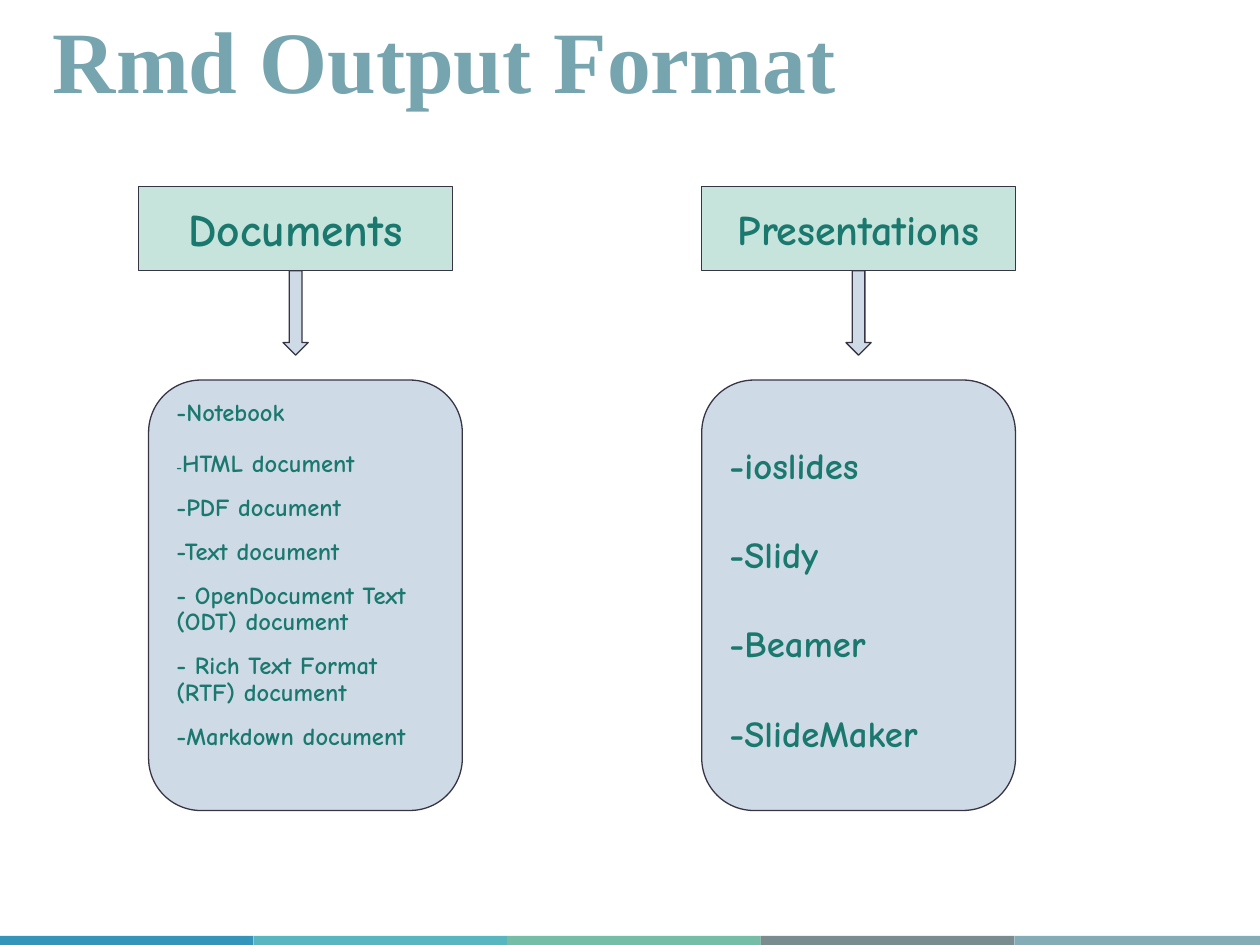
from dataclasses import dataclass

from pptx import Presentation
from pptx.dml.color import RGBColor
from pptx.enum.shapes import MSO_SHAPE
from pptx.enum.text import MSO_ANCHOR, MSO_AUTO_SIZE, PP_ALIGN
from pptx.shapes.autoshape import Shape
from pptx.slide import Slide
from pptx.text.text import _Paragraph
from pptx.util import Pt

TITLE = RGBColor(0x76, 0xA5, 0xAF)
TEXT = RGBColor(0x1B, 0x78, 0x6E)
MINT = RGBColor(0xC6, 0xE4, 0xDB)
PALE_BLUE = RGBColor(0xCE, 0xDB, 0xE6)
OUTLINE = RGBColor(0x37, 0x35, 0x45)
FOOTER = [
    RGBColor(0x34, 0x94, 0xBA),
    RGBColor(0x58, 0xB6, 0xC0),
    RGBColor(0x75, 0xBD, 0xA7),
    RGBColor(0x7A, 0x8C, 0x8E),
    RGBColor(0x84, 0xAC, 0xB6),
]
BODY_FONT = "Comic Neue"
TITLE_FONT = "Times New Roman"
BOX_W = 179.3
BAR_W = 144.9


@dataclass
class Item:
    text: str
    size: float = 14
    before: float = 10
    spacing: float = 0.9
    dash_size: float = 0


@dataclass
class Column:
    heading: str
    heading_size: float
    left: float
    list_left: float
    bottom_inset: float
    items: list[Item]


COLUMNS = [
    Column("Documents", 26, 79.3, 84.9, 34, [
        Item("-Notebook", before=22, spacing=1.15),
        Item("HTML document", before=14, dash_size=8),
        Item("-PDF document"),
        Item("-Text document"),
        Item("- OpenDocument Text (ODT) document"),
        Item("- Rich Text Format (RTF) document"),
        Item("-Markdown document"),
    ]),
    Column("Presentations", 24, 401, 401, 7.2, [
        Item(f"-{name}", 21, 22, 1.15)
        for name in ("ioslides", "Slidy", "Beamer", "SlideMaker")
    ]),
]


def add_box(s: Slide, kind: MSO_SHAPE, left: float, top: float, width: float,
            height: float, fill: RGBColor, outlined: bool = True) -> Shape:
    sp = s.shapes.add_shape(kind, Pt(left), Pt(top), Pt(width), Pt(height))
    sp.shadow.inherit = False
    sp.fill.solid()
    sp.fill.fore_color.rgb = fill
    if outlined:
        sp.line.color.rgb = OUTLINE
        sp.line.width = Pt(0.75)
    else:
        sp.line.fill.background()
    tf = sp.text_frame
    tf.word_wrap = True
    tf.vertical_anchor = MSO_ANCHOR.MIDDLE
    tf.margin_left = tf.margin_right = tf.margin_top = tf.margin_bottom = Pt(7.2)
    return sp


def format_runs(p: _Paragraph, size: float, color: RGBColor = TEXT,
                font: str = BODY_FONT) -> None:
    for r in p.runs:
        r.font.name = font
        r.font.size = Pt(size)
        r.font.bold = True
        r.font.color.rgb = color


def add_items(sp: Shape, items: list[Item]) -> None:
    tf = sp.text_frame
    for i, item in enumerate(items):
        p = tf.add_paragraph() if i else tf.paragraphs[0]
        p.text = "-" if item.dash_size else item.text
        if item.dash_size:
            p.add_run().text = item.text
        p.alignment = PP_ALIGN.LEFT
        p.line_spacing = item.spacing
        p.space_before = Pt(item.before)
        format_runs(p, item.size)
        if item.dash_size:
            p.runs[0].font.size = Pt(item.dash_size)


def add_column(s: Slide, col: Column) -> None:
    sp = add_box(s, MSO_SHAPE.RECTANGLE, col.left, 106.6, BOX_W, 48.2, MINT)
    sp.text_frame.text = col.heading
    p = sp.text_frame.paragraphs[0]
    p.alignment = PP_ALIGN.CENTER
    format_runs(p, col.heading_size)
    add_box(s, MSO_SHAPE.DOWN_ARROW, col.left + BOX_W / 2 - 7.2, 154.8,
            14.4, 48.2, PALE_BLUE)
    sp = add_box(s, MSO_SHAPE.ROUNDED_RECTANGLE, col.list_left, 217.2,
                 BOX_W, 246, PALE_BLUE)
    sp.text_frame.margin_bottom = Pt(col.bottom_inset)
    add_items(sp, col.items)


def add_title(s: Slide, text: str) -> None:
    sp = s.shapes.title
    sp.left, sp.top, sp.width, sp.height = Pt(23), Pt(9.4), Pt(689), Pt(58.3)
    tf = sp.text_frame
    tf.text = text
    tf.word_wrap = True
    tf.auto_size = MSO_AUTO_SIZE.NONE
    tf.vertical_anchor = MSO_ANCHOR.BOTTOM
    p = tf.paragraphs[0]
    p.alignment = PP_ALIGN.LEFT
    p.line_spacing = 0.9
    format_runs(p, 50, TITLE, TITLE_FONT)


prs = Presentation()
prs.slide_width, prs.slide_height = Pt(720), Pt(540)
s = prs.slides.add_slide(prs.slide_layouts[5])
for i, color in enumerate(FOOTER):
    add_box(s, MSO_SHAPE.RECTANGLE, i * BAR_W, 534.8, BAR_W, 7.2, color, False)
add_title(s, "Rmd Output Format")
for col in COLUMNS:
    add_column(s, col)
prs.save("out.pptx")
